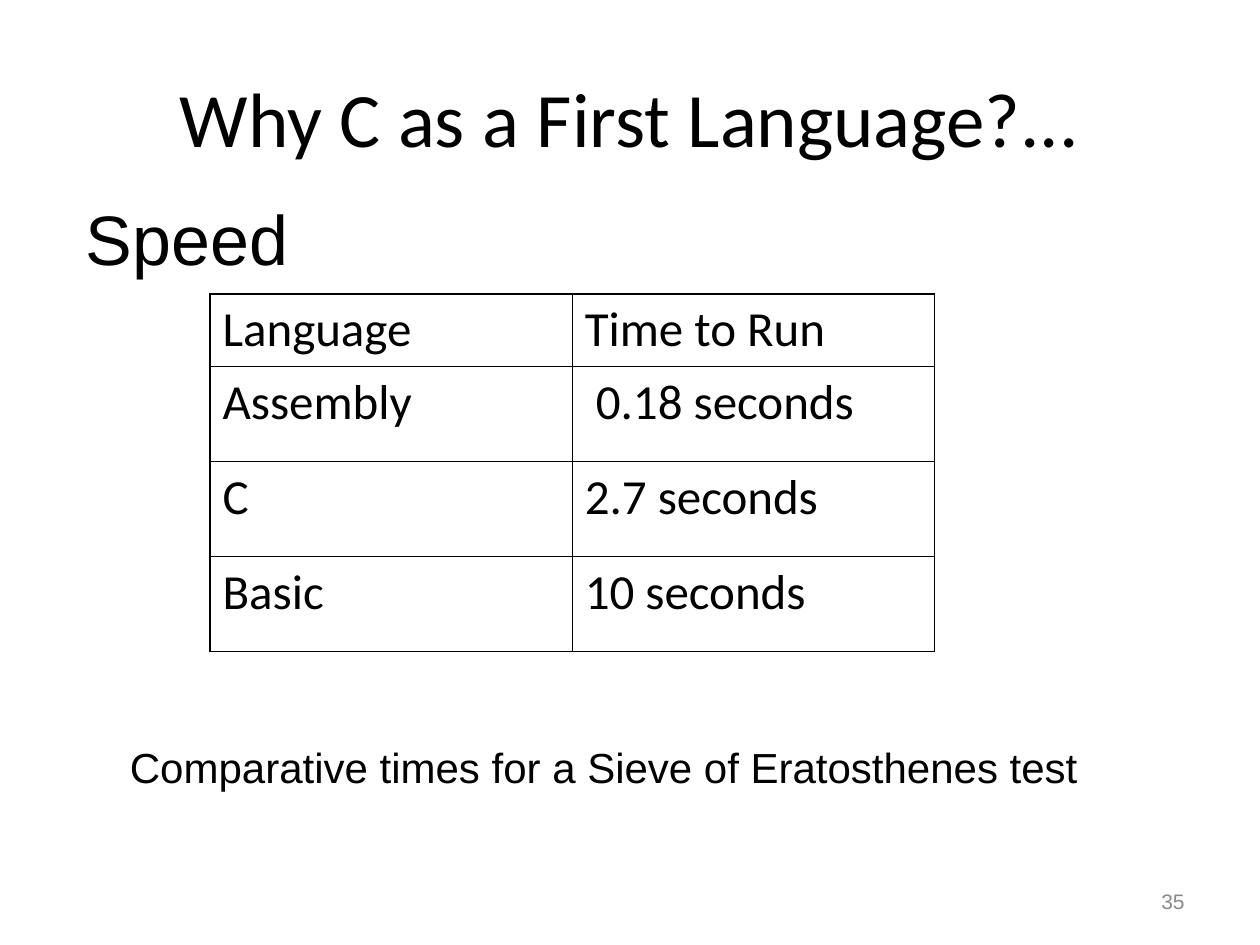
from lxml.etree import SubElement
from pptx import Presentation
from pptx.dml.color import RGBColor
from pptx.enum.text import MSO_ANCHOR as Anchor, PP_ALIGN as Align
from pptx.oxml.ns import qn
from pptx.util import Pt

BLACK = RGBColor(0x00, 0x00, 0x00)
GRAY = RGBColor(0x89, 0x89, 0x89)

TITLE = "Why C as a First Language?..."
TIMES = [
    ("Language", "Time to Run"),
    ("Assembly", " 0.18 seconds"),
    ("C", "2.7 seconds"),
    ("Basic", "10 seconds"),
]
# text, box (left, top, width, height), size, colour, alignment, anchor, space before
LABELS = [
    ("Comparative times for a Sieve of Eratosthenes test",
     (30, 420, 630, 36), 24, BLACK, Align.CENTER, Anchor.TOP, 15),
    ("Speed", (42, 108, 138, 55.4), 40, BLACK, Align.LEFT, Anchor.TOP, 25),
    ("35", (516, 500.5, 168, 28.8), 12, GRAY, Align.RIGHT, Anchor.MIDDLE, 0),
]
TABLE_LEFT, TABLE_TOP = 120, 168
COL_WIDTH, HEAD_HEIGHT, ROW_HEIGHT = 207, 41.2, 54.3
THICK, THIN = 1.08, 0.45


def write(tf, text, size, font, color, align=Align.LEFT, before=0):
    p = tf.paragraphs[0]
    p.alignment = align
    p.space_before = Pt(before)
    r = p.add_run()
    r.text = text
    r.font.size = Pt(size)
    r.font.name = font
    r.font.color.rgb = color


def set_borders(cell, widths):
    tc_pr = cell._tc.get_or_add_tcPr()
    for side, width in zip("LRTB", widths):
        ln = SubElement(tc_pr, qn(f"a:ln{side}"), w=str(int(Pt(width))))
        fill = SubElement(ln, qn("a:solidFill"))
        SubElement(fill, qn("a:srgbClr"), val=str(BLACK))


def add_times_table(s):
    rows, cols = len(TIMES), len(TIMES[0])
    height = HEAD_HEIGHT + ROW_HEIGHT * (rows - 1)
    table = s.shapes.add_table(rows, cols, Pt(TABLE_LEFT), Pt(TABLE_TOP),
                               Pt(COL_WIDTH * cols), Pt(height)).table
    table.first_row = table.horz_banding = False
    for col in table.columns:
        col.width = Pt(COL_WIDTH)
    for i, texts in enumerate(TIMES):
        table.rows[i].height = Pt(ROW_HEIGHT if i else HEAD_HEIGHT)
        for j, text in enumerate(texts):
            cell = table.cell(i, j)
            outer = (j == 0, j == cols - 1, i == 0, i == rows - 1)
            set_borders(cell, [THICK if edge else THIN for edge in outer])
            cell.fill.background()
            write(cell.text_frame, text, 28, "Calibri", BLACK, before=7)


def main():
    prs = Presentation()
    prs.slide_width, prs.slide_height = Pt(720), Pt(540)
    s = prs.slides.add_slide(prs.slide_layouts[5])

    title = s.shapes.title
    title.left, title.top, title.width, title.height = map(Pt, (36, 21.6, 648, 90))
    title.text_frame.vertical_anchor = Anchor.MIDDLE
    write(title.text_frame, TITLE, 44, "Calibri", BLACK, Align.CENTER)

    add_times_table(s)

    for text, box, size, color, align, anchor, before in LABELS:
        tf = s.shapes.add_textbox(*map(Pt, box)).text_frame
        tf.word_wrap = True
        tf.vertical_anchor = anchor
        write(tf, text, size, "Arial", color, align, before)

    prs.save("out.pptx")


if __name__ == "__main__":
    main()
